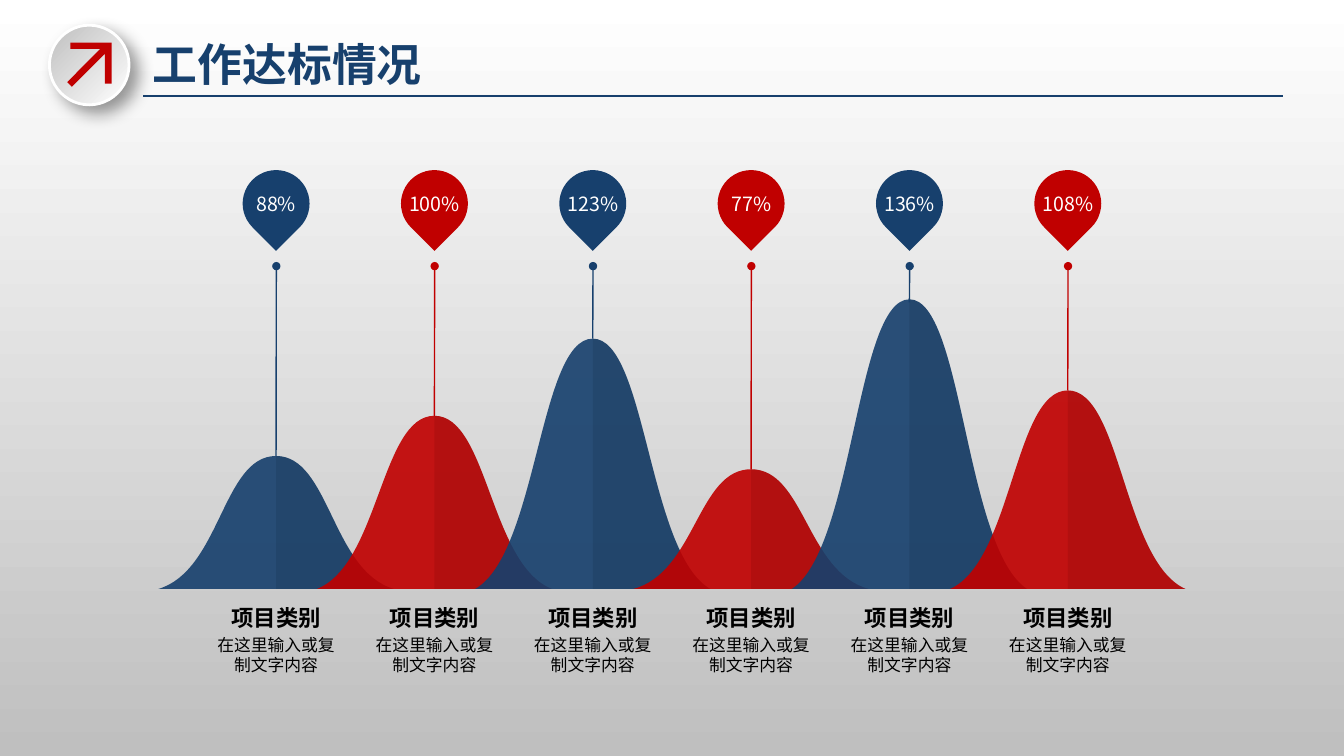
from lxml import etree
from pptx import Presentation
from pptx.dml.color import RGBColor
from pptx.enum.shapes import MSO_CONNECTOR, MSO_SHAPE
from pptx.enum.text import MSO_ANCHOR, MSO_AUTO_SIZE, PP_ALIGN
from pptx.oxml import parse_xml
from pptx.oxml.ns import nsdecls, qn
from pptx.util import Pt

COLORS = {name: RGBColor.from_string(code) for name, code in {
    "navy": "17406D", "red": "C00000", "navy_shade": "0C2036", "red_shade": "600000",
    "white": "FFFFFF", "grey": "BFBFBF", "black": "000000"}.items()}
FONT = "Noto Sans CJK SC"

prs = Presentation()
prs.slide_width, prs.slide_height = Pt(960), Pt(540)
slide = prs.slides.add_slide(prs.slide_layouts[5])
shapes = slide.shapes


def write(box, text, size, color, align, anchor, bold=False, margins=(7.2, 3.6)):
    frame = box.text_frame
    frame.text = text
    frame.word_wrap = True
    frame.auto_size = MSO_AUTO_SIZE.NONE
    frame.vertical_anchor = anchor
    frame.margin_left = frame.margin_right = Pt(margins[0])
    frame.margin_top = frame.margin_bottom = Pt(margins[1])
    frame.paragraphs[0].alignment = align
    font = frame.paragraphs[0].runs[0].font
    font.size, font.bold, font.name = Pt(size), bold, FONT
    font.color.rgb = COLORS[color]
    etree.SubElement(font._element, qn("a:ea"), typeface=FONT)


def draw_outline(points, color, opacity=100, curves=0):
    """Draw a filled outline; its first segments may be cubic curves of three points each."""
    corners = [(Pt(x), Pt(y)) for x, y in points]
    builder = shapes.build_freeform(*corners[0])
    builder.add_line_segments(corners[1:])
    outline = builder.convert_to_shape()
    outline.shadow.inherit = False
    outline.fill.solid()
    outline.fill.fore_color.rgb = COLORS[color]
    outline.line.fill.background()
    segments = list(outline._element.iter(qn("a:lnTo")))
    for i in range(curves):
        curve = etree.Element(qn("a:cubicBezTo"))
        segments[3 * i].addprevious(curve)
        for segment in segments[3 * i:3 * i + 3]:
            curve.append(segment[0])
            segment.getparent().remove(segment)
    if opacity < 100:
        tint = outline._element.spPr.find(qn("a:solidFill"))[0]
        etree.SubElement(tint, qn("a:alpha"), val=str(opacity * 1000))


# Background and badge gradients
badge = shapes.add_shape(MSO_SHAPE.OVAL, Pt(35.3), Pt(18), Pt(56.9), Pt(56.9))
for fill, angle, start, end in ((slide.background.fill, 90, "grey", "white"),
                                (badge.fill, 135, "white", "grey")):
    fill.gradient()
    fill.gradient_angle = angle
    for stop, color in zip(fill.gradient_stops, (start, end)):
        stop.color.rgb = COLORS[color]

# Badge ring, shadow and arrow
badge.line.color.rgb = COLORS["white"]
badge.line.width = Pt(2)
badge._element.spPr.append(parse_xml(
    f'<a:effectLst {nsdecls("a")}><a:outerShdw blurRad="{Pt(12)}" dist="{Pt(8)}" '
    'dir="2700000" algn="tl" rotWithShape="0"><a:srgbClr val="000000">'
    '<a:alpha val="40000"/></a:srgbClr></a:outerShdw></a:effectLst>'))
draw_outline([(75, 59.8), (75, 38.4), (51.4, 62), (48, 58.7), (71.6, 35), (50.4, 35),
              (50.4, 30.4), (79.8, 30.4), (79.8, 59.8)], "red")

# Title
title = shapes.title
title.left, title.top, title.width, title.height = Pt(101.9), Pt(22.3), Pt(430.6), Pt(46)
write(title, "工作达标情况", 32, "navy", PP_ALIGN.LEFT, MSO_ANCHOR.TOP, bold=True)

# Items: share, hill top, stem end
ITEMS = [("88%", 325.7, 325.7), ("100%", 297, 297), ("123%", 241.9, 241.9),
         ("77%", 335.2, 335.2), ("136%", 213.8, 216), ("108%", 278.9, 278.9)]
FIRST_CENTER, PITCH, BASE = 197.2, 113.1, 420.7
items = [(FIRST_CENTER + PITCH * i, ("navy", "red")[i % 2], *item)
         for i, item in enumerate(ITEMS)]

# Hills: one cubic curve down each side, the right half shaded
for center, color, share, top, stem_end in items:
    knee = top + (BASE - top) * 0.86
    slope = [(0, top), (38.2, top), (39.6, knee), (84, BASE)]
    right = [(center + x, y) for x, y in slope]
    left = [(center - x, y) for x, y in reversed(slope[1:])]
    draw_outline(left + right, color, 91, curves=2)
    draw_outline(right + [(center, BASE)], color + "_shade", 15, curves=1)

# Title rule and stems
rules = [(102.2, 68.6, 916.2, 68.6, "navy", False)]
rules += [(center + 0.2, 190.1, center, stem_end, color, True)
          for center, color, share, top, stem_end in items]
for x1, y1, x2, y2, color, dotted in rules:
    rule = shapes.add_connector(MSO_CONNECTOR.STRAIGHT, Pt(x1), Pt(y1), Pt(x2), Pt(y2))
    rule.line.color.rgb = COLORS[color]
    rule.line.width = Pt(1)
    etree.SubElement(rule._element.spPr, qn("a:effectLst"))
    if dotted:
        etree.SubElement(rule.line._get_or_add_ln(), qn("a:headEnd"), type="oval")

# Captions and percentage pins
for center, color, share, top, stem_end in items:
    detail = shapes.add_textbox(Pt(center - 49.7), Pt(450), Pt(99.4), Pt(36))
    write(detail, "在这里输入或复制文字内容", 12, "black", PP_ALIGN.CENTER, MSO_ANCHOR.TOP)
    category = shapes.add_textbox(Pt(center - 42.5), Pt(431.3), Pt(85), Pt(19.4))
    write(category, "项目类别", 16, "black", PP_ALIGN.CENTER, MSO_ANCHOR.TOP,
          bold=True, margins=(0, 0))

    pin = shapes.add_shape(MSO_SHAPE.TEAR, Pt(center - 23.9), Pt(121.5), Pt(47.8), Pt(47.8))
    pin.rotation = 135
    pin.shadow.inherit = False
    pin.fill.solid()
    pin.fill.fore_color.rgb = COLORS[color]
    pin.line.fill.background()
    percentage = shapes.add_textbox(Pt(center - 25.9), Pt(133.2), Pt(52), Pt(24.2))
    write(percentage, share, 14, "white", PP_ALIGN.CENTER, MSO_ANCHOR.MIDDLE)

prs.save("out.pptx")
